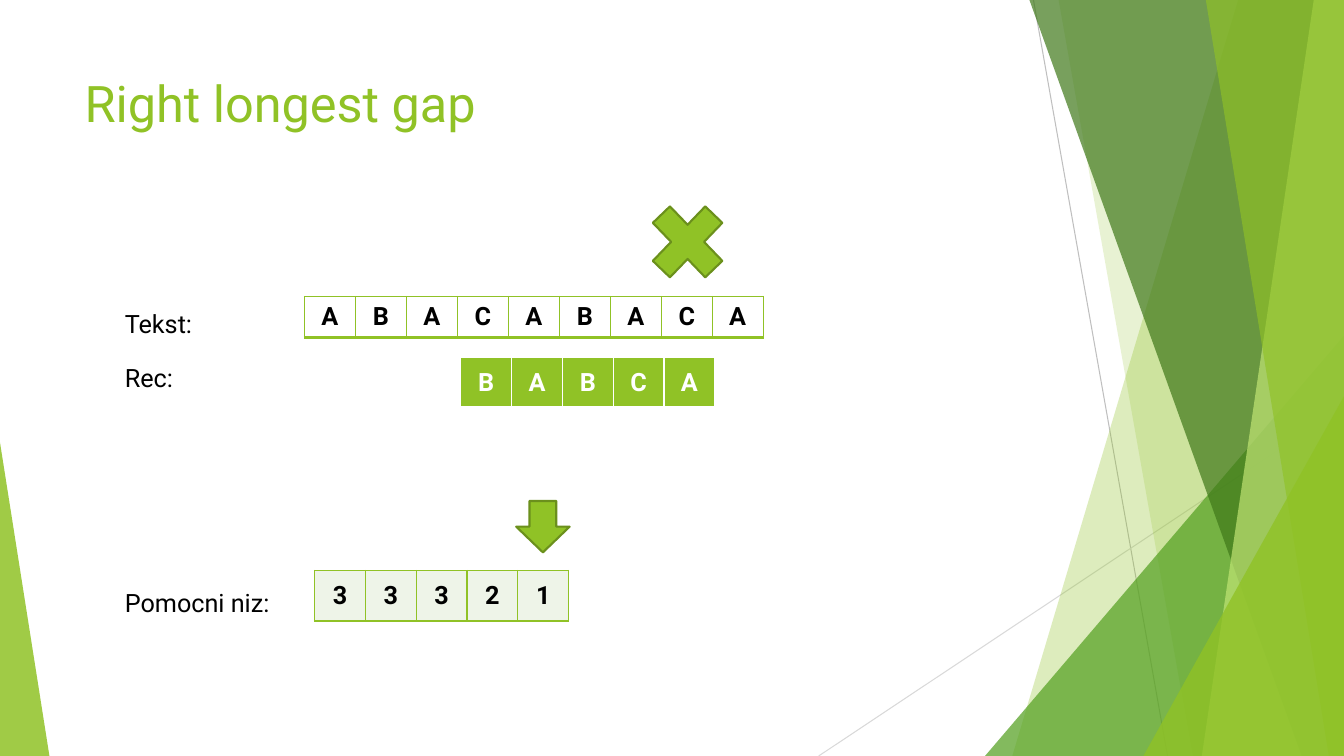
from lxml import etree
from pptx import Presentation, util as u
from pptx.dml.color import RGBColor
from pptx.enum import shapes, text
from pptx.oxml import ns

WIDE, HIGH = 13.33, 7.5
FONT = "Roboto"
HUE = {
    "lime": "90C226", "edge": "6B901C", "leaf": "54A021", "moss": "3F7819",
    "pale": "C0E474", "mist": "EEF4E8", "white": "FFFFFF", "black": "000000",
    "gray": "BFBFBF", "light": "D9D9D9",
}

# Thin lines: start, end, colour
LINES = [
    ((10.25, 0), (11.58, HIGH), "gray"),
    ((WIDE, 4.03), (8.12, HIGH), "light"),
]
# Bands reach the right edge: kind, top x, bottom x, colour, opacity
# Wedges stand on the bottom edge: kind, left, top, width, apex, colour, opacity
DECOR = [
    ("band", 12.28, 10.04, "lime", 30),
    ("band", 10.5, 11.83, "lime", 20),
    ("wedge", 9.77, 3.33, 3.56, 1, "leaf", 72),
    ("band", 10.21, 12.91, "moss", 70),
    ("band", 13.03, 11.92, "pale", 70),
    ("band", 11.96, 13.18, "lime", 65),
    ("wedge", 11.34, 3.93, 1.99, 1, "lime", 80),
    ("wedge", 0, 4.39, 0.49, 0, "lime", 85),
]
# Text, left, top, width, height, size, colour
LABELS = [
    ("Right longest gap", 0.74, 0.67, 9.4, 1.44, 36, "lime"),
    ("Tekst:", 1.14, 3.01, 0.9, 0.4, 18, "black"),
    ("Rec:", 1.14, 3.55, 0.77, 0.4, 18, "black"),
    ("Pomocni niz:", 1.14, 5.78, 3, 0.4, 18, "black"),
]
# Letters, left, top, width, height, fill, ink, border, bottom border width
STRIPS = [
    ("BABCA", 4.57, 3.55, 2.52, 0.5, "lime", "white", "white", 3),
    ("33321", 3.12, 5.66, 2.52, 0.5, "mist", "black", "lime", 1),
    ("ABACABACA", 3.02, 2.94, 4.55, 0.41, None, "black", "lime", 2),
]
MARKS = [
    (shapes.MSO_SHAPE.DOWN_ARROW, 5.12, 4.97, 0.53, 0.51),
    (shapes.MSO_SHAPE.MATH_MULTIPLY, 6.32, 1.88, 1, 1.04),
]


def inches(*nums):
    return [u.Inches(n) for n in nums]


def color(name):
    return RGBColor.from_string(HUE[name])


def write(frame, words, size=18, ink="black", bold=False, align=None):
    frame.word_wrap = True
    para = frame.paragraphs[0]
    para.alignment = align
    run = para.add_run()
    run.text = words
    font = run.font
    font.name, font.size, font.bold = FONT, u.Pt(size), bold
    font.color.rgb = color(ink)


def paint(shape, hue, alpha=100, edge=None):
    shape.shadow.inherit = False
    shape.fill.solid()
    shape.fill.fore_color.rgb = color(hue)
    if alpha < 100:
        tone = shape.fill._xPr.find(".//" + ns.qn("a:srgbClr"))
        etree.SubElement(tone, ns.qn("a:alpha"), val=str(alpha * 1000))
    if edge:
        shape.line.color.rgb = color(edge)
        shape.line.width = u.Pt(1.5)
    else:
        shape.line.fill.background()


def draw_line(pool, start, end, hue):
    line = pool.add_connector(
        shapes.MSO_CONNECTOR.STRAIGHT, *inches(*start, *end))
    line.line.color.rgb = color(hue)
    line.line.width = u.Pt(0.75)
    etree.SubElement(line._element.spPr, ns.qn("a:effectLst"))


def draw_band(pool, top, base, hue, alpha):
    pen = pool.build_freeform(*inches(top, 0), scale=1.0)
    ends = [(WIDE, 0), (WIDE, HIGH), (base, HIGH)]
    pen.add_line_segments([inches(*end) for end in ends], close=True)
    paint(pen.convert_to_shape(), hue, alpha)


def draw_wedge(pool, left, top, width, apex, hue, alpha):
    wedge = pool.add_shape(shapes.MSO_SHAPE.ISOSCELES_TRIANGLE,
                           *inches(left, top, width, HIGH - top))
    wedge.adjustments[0] = apex
    paint(wedge, hue, alpha)


def set_edges(cell, hue, base):
    """Border the cell; lines go ahead of its fill in the XML."""
    props = cell._tc.get_or_add_tcPr()
    for spot, side in enumerate("LRTB"):
        wide = u.Pt(base if side == "B" else 1)
        line = etree.Element(ns.qn("a:ln" + side), w=str(int(wide)))
        fill = etree.SubElement(line, ns.qn("a:solidFill"))
        etree.SubElement(fill, ns.qn("a:srgbClr"), val=HUE[hue])
        props.insert(spot, line)


def draw_strip(pool, items, left, top, width, height, fill, ink, edge, base):
    table = pool.add_table(
        1, len(items), *inches(left, top, width, height)).table
    table.first_row = table.horz_banding = False
    for col, item in enumerate(items):
        table.columns[col].width = u.Inches(width / len(items))
        cell = table.cell(0, col)
        cell.vertical_anchor = text.MSO_ANCHOR.MIDDLE
        if fill:
            cell.fill.solid()
            cell.fill.fore_color.rgb = color(fill)
        else:
            cell.fill.background()
        set_edges(cell, edge, base)
        write(cell.text_frame, item, ink=ink, bold=True,
              align=text.PP_ALIGN.CENTER)


def main():
    deck = Presentation()
    deck.slide_width, deck.slide_height = inches(WIDE, HIGH)
    pool = deck.slides.add_slide(deck.slide_layouts[6]).shapes
    for line in LINES:
        draw_line(pool, *line)
    for kind, *form in DECOR:
        (draw_band if kind == "band" else draw_wedge)(pool, *form)
    for words, *box, size, ink in LABELS:
        write(pool.add_textbox(*inches(*box)).text_frame, words,
              size=size, ink=ink)
    for strip in STRIPS:
        draw_strip(pool, *strip)
    for kind, *box in MARKS:
        paint(pool.add_shape(kind, *inches(*box)), "lime", edge="edge")
    deck.save("out.pptx")


if __name__ == "__main__":
    main()
